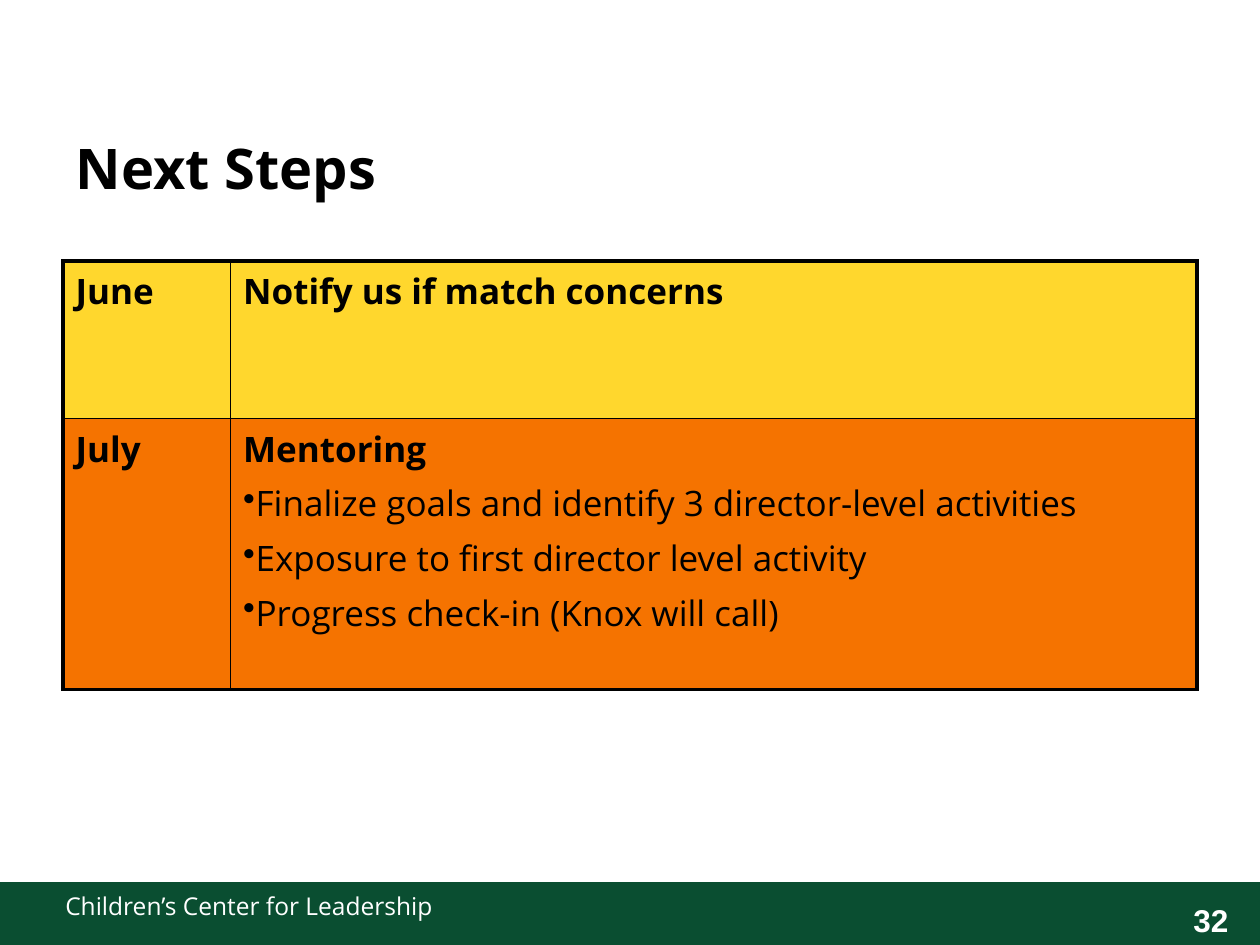
from dataclasses import dataclass

from lxml.etree import SubElement
from pptx import Presentation
from pptx.dml.color import RGBColor as RGB
from pptx.enum.shapes import MSO_SHAPE as Shape
from pptx.enum.text import MSO_ANCHOR as Anchor, PP_ALIGN as Align
from pptx.oxml import parse_xml
from pptx.oxml.ns import nsdecls, qn
from pptx.util import Inches, Pt


@dataclass(frozen=True)
class Theme:
    font: str = "Open Sans"
    number_font: str = "Arial"
    black: str = "000000"
    white: str = "FFFFFF"
    green: str = "0A4E31"
    yellow: str = "FFD72D"
    orange: str = "F57300"
    title_size: int = 32
    table_size: int = 20
    number_size: int = 18
    footer_size: int = 14
    outer_line: float = 2.25
    inner_line: float = 1
    para_gap: int = 4


class SlideBuilder:
    def __init__(self, prs, theme):
        self.theme = theme
        self.slide = prs.slides.add_slide(prs.slide_layouts[5])

    def run(self, p, text, size, color, bold=False, font=None):
        r = p.add_run()
        r.text = text
        r.font.name = font or self.theme.font
        r.font.size = Pt(size)
        r.font.bold = bold
        r.font.color.rgb = RGB.from_string(color)

    def title(self, text, box):
        sp = self.slide.shapes.title
        sp.left, sp.top, sp.width, sp.height = map(Inches, box)
        tf = sp.text_frame
        tf.vertical_anchor = Anchor.MIDDLE
        p = tf.paragraphs[0]
        p.alignment = Align.LEFT
        self.run(p, text, self.theme.title_size, self.theme.black, bold=True)

    def band(self, box, color):
        sp = self.slide.shapes.add_shape(Shape.RECTANGLE, *map(Inches, box))
        sp.shadow.inherit = False
        sp.fill.solid()
        sp.fill.fore_color.rgb = RGB.from_string(color)
        sp.line.fill.background()

    def text(self, text, box, size, align=Align.LEFT, **style):
        tf = self.slide.shapes.add_textbox(*map(Inches, box)).text_frame
        tf.word_wrap = True
        p = tf.paragraphs[0]
        p.alignment = align
        self.run(p, text, size, self.theme.white, **style)

    def table(self, rows, left, top, widths, heights):
        """Each row is (month, heading, bullet items, fill colour)."""
        frame = self.slide.shapes.add_table(
            len(rows), len(widths), Inches(left), Inches(top),
            Inches(sum(widths)), Inches(sum(heights)))
        table = frame.table
        table.first_row = table.horz_banding = False
        for col, width in zip(table.columns, widths):
            col.width = Inches(width)
        for row, height in zip(table.rows, heights):
            row.height = Inches(height)
        for i, (month, heading, items, color) in enumerate(rows):
            for j, (head, bullets) in enumerate([(month, []), (heading, items)]):
                cell = table.cell(i, j)
                cell.fill.solid()
                cell.fill.fore_color.rgb = RGB.from_string(color)
                self.cell_text(cell.text_frame, head, bullets)
                self.cell_borders(cell, j == 0, j == len(widths) - 1,
                                  i == 0, i == len(rows) - 1)

    def cell_text(self, tf, heading, bullets):
        t = self.theme
        self.run(tf.paragraphs[0], heading, t.table_size, t.black, bold=True)
        for item in bullets:
            p = tf.add_paragraph()
            p.space_before = Pt(t.para_gap)
            pPr = p._p.get_or_add_pPr()
            pPr.set("marL", "0")
            pPr.set("indent", "0")
            SubElement(pPr, qn("a:buChar"), char="•")
            self.run(p, item, t.table_size, t.black)

    def cell_borders(self, cell, *outer):
        """Flags mark the left, right, top and bottom edges of the table."""
        t = self.theme
        tcPr = cell._tc.get_or_add_tcPr()
        for k, (side, is_outer) in enumerate(zip("LRTB", outer)):
            width = Pt(t.outer_line if is_outer else t.inner_line)
            tcPr.insert(k, parse_xml(
                f'<a:ln{side} {nsdecls("a")} w="{width}"><a:solidFill>'
                f'<a:srgbClr val="{t.black}"/></a:solidFill></a:ln{side}>'))


def main():
    prs = Presentation()
    prs.slide_width, prs.slide_height = Inches(10), Inches(7.5)
    theme = Theme()
    s = SlideBuilder(prs, theme)

    s.band((0, 7, 10, 0.55), theme.green)
    s.text("32", (9.22, 7.1, 0.78, 0.4), theme.number_size, Align.CENTER,
           bold=True, font=theme.number_font)
    s.text("Children’s Center for Leadership", (0.42, 7.02, 7.9, 0.5),
           theme.footer_size)
    s.title("Next Steps", (0.5, 0.83, 5.34, 1))
    s.table([
        ("June", "Notify us if match concerns", [], theme.yellow),
        ("July", "Mentoring", [
            "Finalize goals and identify 3 director-level activities",
            "Exposure to first director level activity",
            "Progress check-in (Knox will call)",
        ], theme.orange),
    ], left=0.5, top=2.07, widths=(1.33, 7.67), heights=(1.25, 2.15))

    prs.save("out.pptx")


if __name__ == "__main__":
    main()
